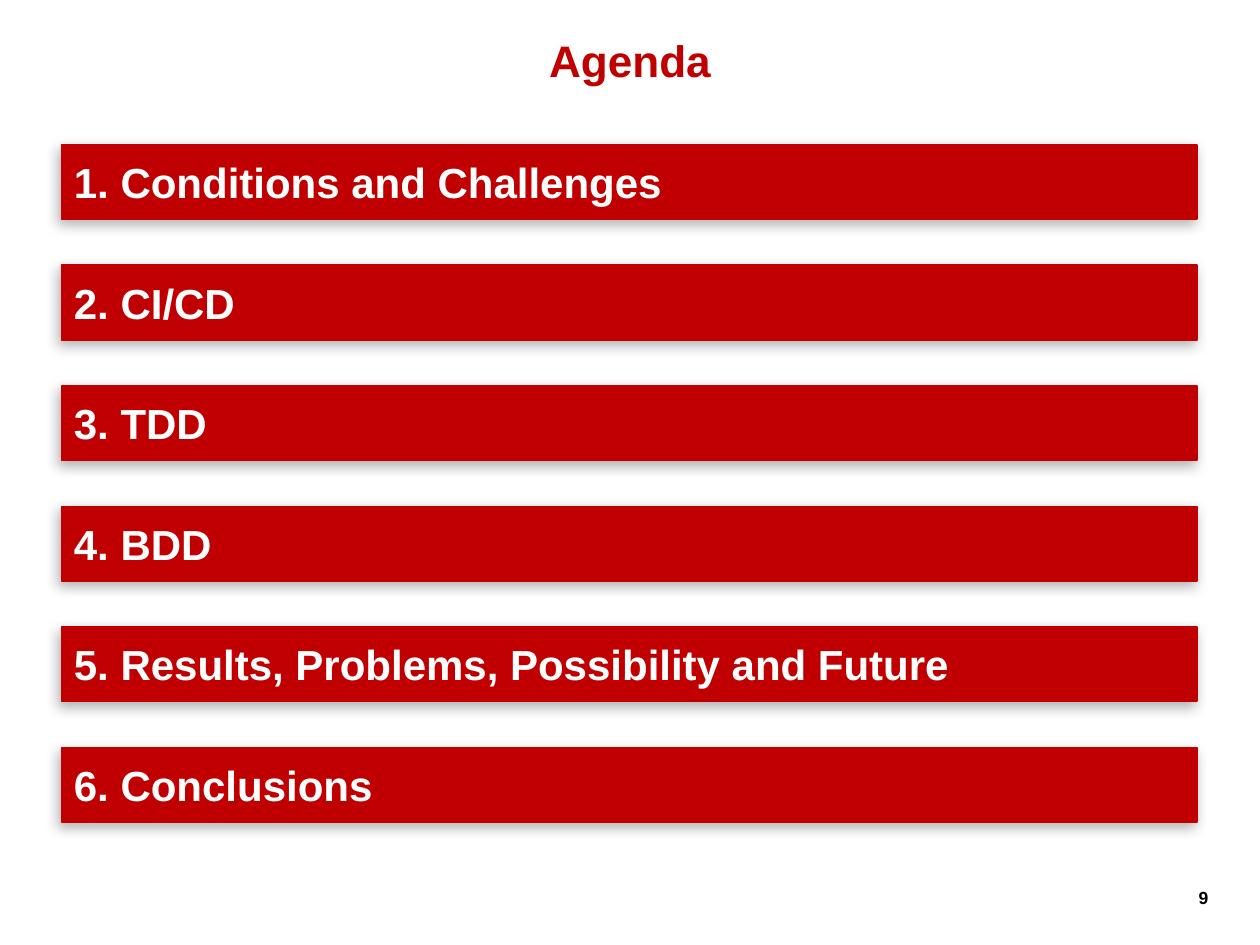
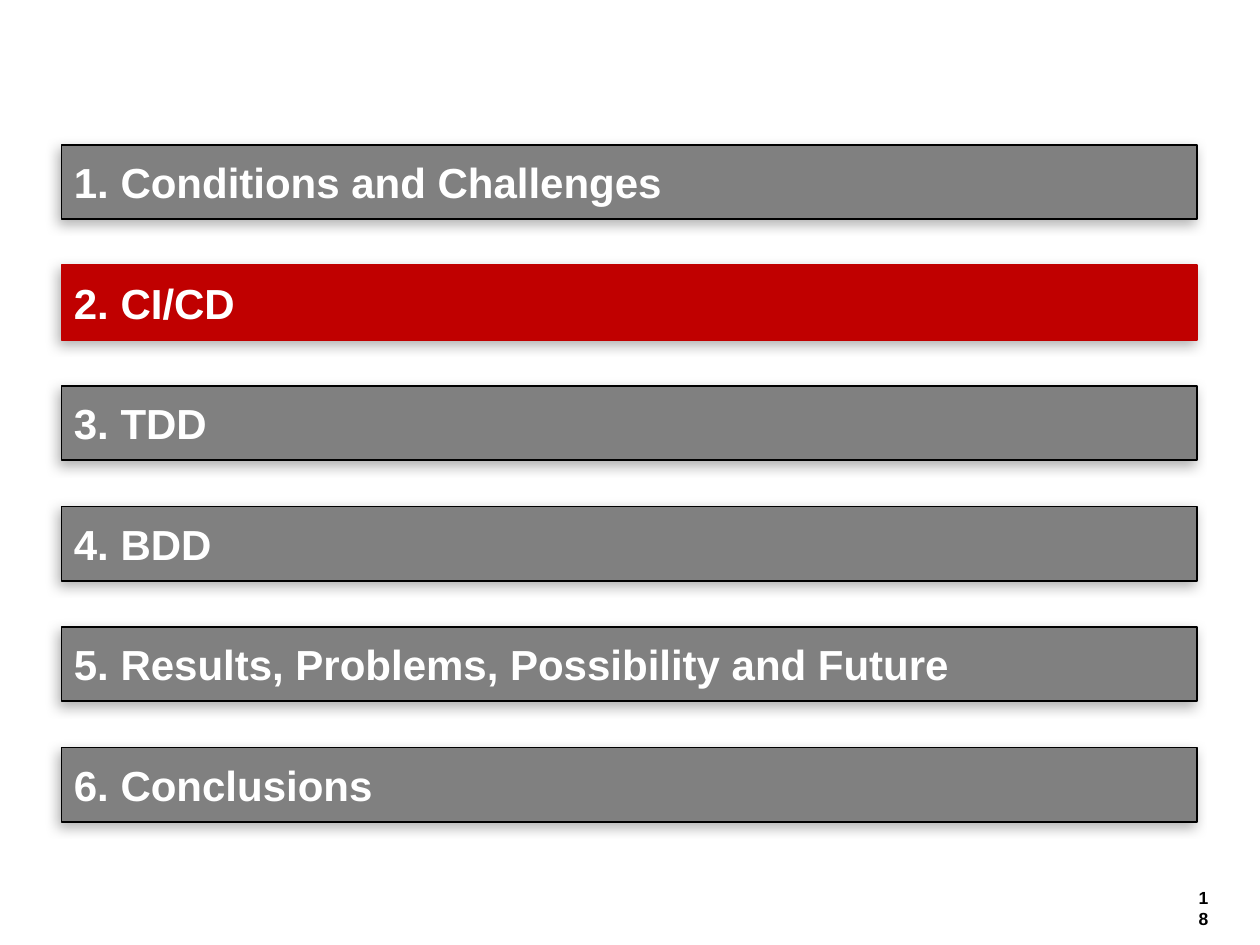
"""Build the agenda slide and the section slide that highlights one agenda item."""
from lxml.etree import SubElement
from pptx import Presentation
from pptx.dml.color import RGBColor
from pptx.enum.shapes import MSO_SHAPE
from pptx.enum.text import MSO_ANCHOR, MSO_AUTO_SIZE, PP_ALIGN
from pptx.oxml.ns import qn
from pptx.util import Cm, Pt

FONT = "Arial"
RED = "C00000"
GRAY = "808080"
BLACK = "000000"
WHITE = "FFFFFF"

TITLE_ONLY, BLANK = 5, 6
BAR_LEFT, BAR_TOP, BAR_WIDTH, BAR_HEIGHT = 1.24, 2.92, 22.89, 1.5
BAR_PITCH = 2.43

AGENDA = [
    "1. Conditions and Challenges",
    "2. CI/CD",
    "3. TDD",
    "4. BDD",
    "5. Results, Problems, Possibility and Future",
    "6. Conclusions",
]


def rgb(value):
    return RGBColor.from_string(value)


def place(sp, left, top, width, height):
    sp.left, sp.top, sp.width, sp.height = Cm(left), Cm(top), Cm(width), Cm(height)


def write(p, text, size, color, align):
    p.alignment = align
    r = p.add_run()
    r.text = text
    r.font.name = FONT
    r.font.size = Pt(size)
    r.font.bold = True
    r.font.color.rgb = rgb(color)


def add_shadow(sp):
    sp.shadow.inherit = False
    effects = sp._element.spPr.find(qn("a:effectLst"))
    shadow = SubElement(effects, qn("a:outerShdw"), blurRad=str(Pt(7)),
                        dist=str(Pt(3)), dir="8100000", algn="tr", rotWithShape="0")
    color = SubElement(shadow, qn("a:srgbClr"), val=BLACK)
    SubElement(color, qn("a:alpha"), val="30000")


def add_title(s, text):
    sp = s.shapes.title
    place(sp, 1, 0.71, 23.4, 1)
    tf = sp.text_frame
    tf.auto_size = MSO_AUTO_SIZE.NONE
    tf.vertical_anchor = MSO_ANCHOR.MIDDLE
    write(tf.paragraphs[0], text, 25.2, RED, PP_ALIGN.CENTER)


def add_page_number(s, number):
    sp = s.shapes.add_textbox(Cm(23.9), Cm(17.75), Cm(0.71), Cm(0.69))
    tf = sp.text_frame
    tf.word_wrap = True
    write(tf.paragraphs[0], str(number), 10, BLACK, PP_ALIGN.RIGHT)


def add_bar(s, row, text, fill, line):
    sp = s.shapes.add_shape(MSO_SHAPE.RECTANGLE, Cm(BAR_LEFT), Cm(BAR_TOP + row * BAR_PITCH),
                            Cm(BAR_WIDTH), Cm(BAR_HEIGHT))
    sp.fill.solid()
    sp.fill.fore_color.rgb = rgb(fill)
    sp.line.color.rgb = rgb(line)
    sp.line.width = Pt(1)
    add_shadow(sp)
    tf = sp.text_frame
    tf.word_wrap = True
    tf.vertical_anchor = MSO_ANCHOR.MIDDLE
    p = tf.paragraphs[0]
    p.space_before = Pt(4.8)
    write(p, text, 24, WHITE, PP_ALIGN.LEFT)


def add_agenda(s, active_rows):
    for row, text in enumerate(AGENDA):
        fill, line = (RED, RED) if row in active_rows else (GRAY, BLACK)
        add_bar(s, row, text, fill, line)


def main():
    prs = Presentation()
    prs.slide_width, prs.slide_height = Cm(25.4), Cm(19.05)

    s = prs.slides.add_slide(prs.slide_layouts[TITLE_ONLY])
    add_page_number(s, 9)
    add_title(s, "Agenda")
    add_agenda(s, range(len(AGENDA)))

    s = prs.slides.add_slide(prs.slide_layouts[BLANK])
    add_page_number(s, 18)
    add_agenda(s, [1])

    prs.save("out.pptx")


if __name__ == "__main__":
    main()
